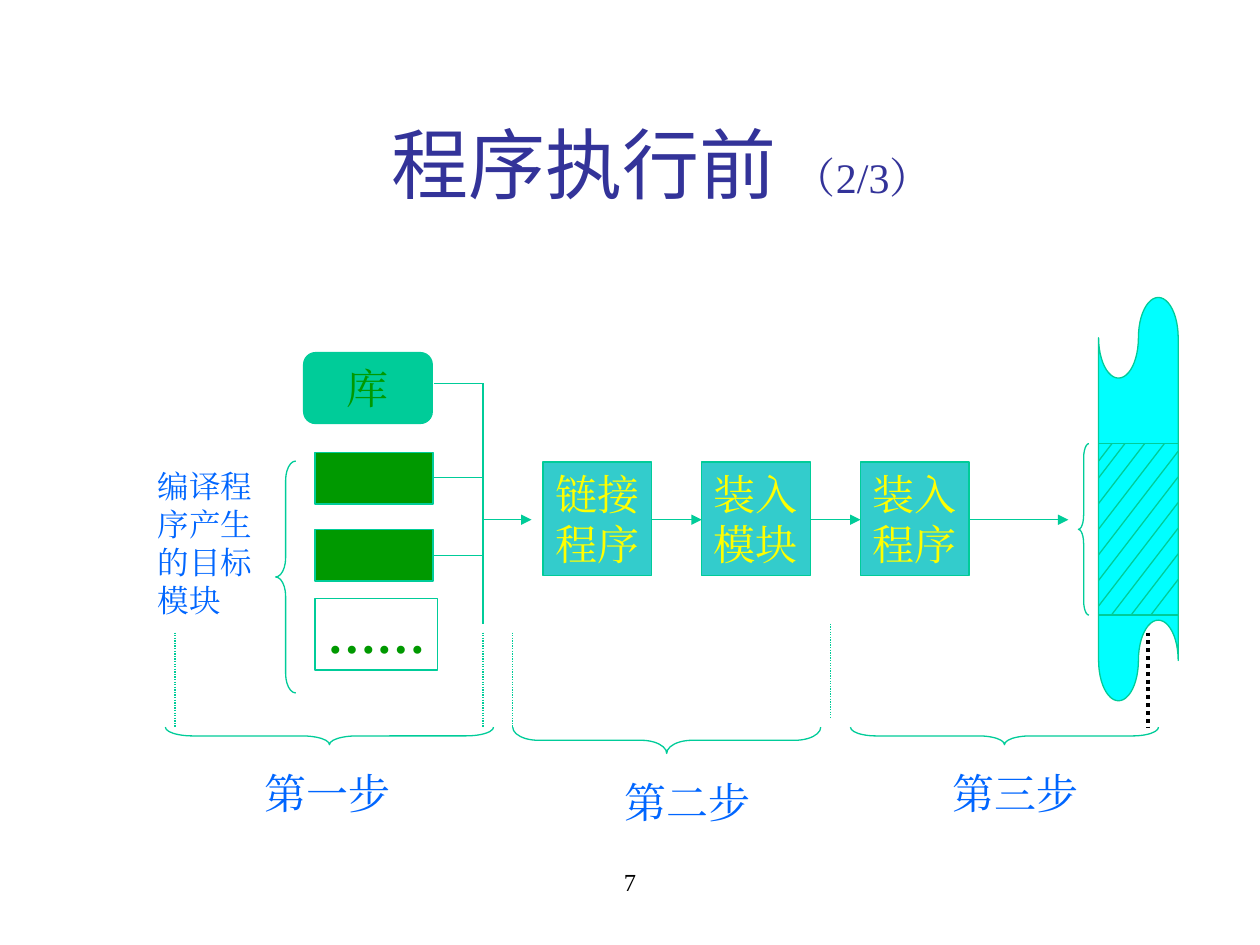
from lxml import etree
from pptx import Presentation
from pptx.dml.color import RGBColor
from pptx.enum.dml import MSO_LINE
from pptx.enum.shapes import MSO_CONNECTOR, MSO_SHAPE
from pptx.enum.text import MSO_ANCHOR, MSO_AUTO_SIZE, PP_ALIGN
from pptx.oxml.ns import qn
from pptx.util import Pt

STRAIGHT = MSO_CONNECTOR.STRAIGHT
RECT, ROUNDED = MSO_SHAPE.RECTANGLE, MSO_SHAPE.ROUNDED_RECTANGLE
BRACE, TAPE = MSO_SHAPE.LEFT_BRACE, MSO_SHAPE.FLOWCHART_PUNCHED_TAPE
TOP, MIDDLE = MSO_ANCHOR.TOP, MSO_ANCHOR.MIDDLE
LEFT, CENTER = PP_ALIGN.LEFT, PP_ALIGN.CENTER
DOTTED = MSO_LINE.ROUND_DOT
SERIF, SANS = "Times New Roman", "Noto Sans CJK SC"
COLORS = {
    "title": "333399", "line": "00CC99", "module": "009900", "label": "0066FF",
    "stage": "33CCCC", "stage_text": "FFFF00", "memory": "00FFFF", "black": "000000",
}


def color(name):
    """Return the named colour."""
    return RGBColor.from_string(COLORS[name])


def set_font(font, face, size, ink, bold=False):
    """Format a paragraph or run font, for Latin and Chinese alike."""
    font.name, font.size, font.bold = face, Pt(size), bold
    font.color.rgb = color(ink)
    etree.SubElement(font._rPr, qn("a:ea"), typeface=face)


def write(shape, lines, size, ink, align=LEFT, anchor=TOP, wrap=False, bold=False):
    """Fill a shape with one paragraph per line."""
    frame = shape.text_frame
    frame.word_wrap, frame.vertical_anchor = wrap, anchor
    frame.text = "\n".join(lines)
    for para in frame.paragraphs:
        para.alignment = align
        set_font(para.font, SERIF, size, ink, bold)


def add_label(page, box, text, size, ink, **options):
    """Add a text box."""
    write(page.shapes.add_textbox(*map(Pt, box)), [text], size, ink, **options)


def add_block(page, kind, box, fill=None):
    """Add an outlined preset shape, filled if a colour is named."""
    shape = page.shapes.add_shape(kind, *map(Pt, box))
    shape.shadow.inherit = False
    shape.line.color.rgb, shape.line.width = color("line"), Pt(0.75)
    if fill:
        shape.fill.solid()
        shape.fill.fore_color.rgb = color(fill)
    else:
        shape.fill.background()
    return shape


def add_line(page, start, end, ink="line", width=0.75, dash=None, arrow=False):
    """Add a straight line, dotted or with an arrowhead on request."""
    line = page.shapes.add_connector(STRAIGHT, *map(Pt, (*start, *end)))
    line.line.color.rgb, line.line.width = color(ink), Pt(width)
    if dash:
        line.line.dash_style = dash
    if arrow:
        etree.SubElement(line.line._get_or_add_ln(), qn("a:tailEnd"), type="triangle")
    etree.SubElement(line._element.spPr, qn("a:effectLst"))


def add_brace(page, box, downward=False):
    """Add a brace in the box, its tip to the left or downward."""
    left, top, width, height = box
    span, depth = (width, height) if downward else (height, width)
    middle_x, middle_y = left + width / 2, top + height / 2
    brace = add_block(page, BRACE, (middle_x - depth / 2, middle_y - span / 2, depth, span))
    brace.adjustments[0] = span / 12 / depth
    brace.rotation = 270 if downward else 0


def add_title(page, box):
    """Place the two-size title."""
    title = page.shapes.title
    title.left, title.top, title.width, title.height = map(Pt, box)
    frame = title.text_frame
    frame.auto_size, frame.vertical_anchor = MSO_AUTO_SIZE.NONE, MIDDLE
    para = frame.paragraphs[0]
    para.alignment = CENTER
    for text, face, size in (("程序执行前 ", SANS, 44), ("（2/3）", SERIF, 24)):
        span = para.add_run()
        span.text = text
        set_font(span.font, face, size, "title")


def add_sources(page, box):
    """Draw the library and object modules, joined to one trunk line."""
    left, top, width, height = box
    module_left, trunk = left + 97, left + width
    library = add_block(page, ROUNDED, (left + 90.5, top, 73.5, 40.5), "line")
    write(library, ["库"], 24, "module", align=CENTER, anchor=MIDDLE, wrap=True)
    for offset in (57, 101):
        add_block(page, RECT, (module_left, top + offset, 67.5, 29.5), "module")
    more = add_block(page, RECT, (module_left, top + 140.5, 70, 41))
    write(more, ["……"], 28, "module", bold=True)
    add_brace(page, (left + 74.5, top + 62, 11.5, 132.5))
    for offset in (17.5, 71.5, 116):
        add_line(page, (left + 165, top + offset), (trunk, top + offset))
    add_line(page, (trunk, top + 17.5), (trunk, top + height))
    add_label(page, (left, top + 62, 75, 93.5), "编译程序产生的目标模块", 18, "label", wrap=True)


def add_stages(page, box):
    """Draw the chain of stages, with arrows in, between and out."""
    left, top, width, height = box
    stage_width, pitch, middle = 62, 90.75, top + 33
    add_line(page, (left - 34.5, middle), (left - 6.5, middle), arrow=True)
    names = (("链接", "程序"), ("装入", "模块"), ("装入", "程序"))
    for index, lines in enumerate(names):
        start = left + index * pitch
        stage = add_block(page, RECT, (start, top, stage_width, height), "stage")
        write(stage, lines, 24, "stage_text", align=CENTER, anchor=MIDDLE)
        end = left + width if lines is names[-1] else start + pitch
        add_line(page, (start + stage_width, middle), (end, middle), arrow=True)


def add_memory(page, box):
    """Draw the memory tape with its hatched, braced region."""
    left, top, width, height = box
    right, upper, depth, slope = left + width, top + 83.5, 98, 1.3
    lower, rise = upper + depth, slope * width
    add_block(page, TAPE, box, "memory")
    for level in (upper, lower):
        add_line(page, (left, level), (right, level))
    for drop in (10, *(19.6 + 14.65 * step for step in range(9))):
        start = (right, upper + drop - rise) if drop > rise else (left + drop / slope, upper)
        end = (left, upper + drop) if drop < depth else (left + (drop - depth) / slope, lower)
        add_line(page, start, end)
    add_brace(page, (left - 11.5, upper, 6, depth))


def add_step(page, box, text, text_left, text_top):
    """Draw a downward brace with its step label."""
    add_brace(page, box, downward=True)
    add_label(page, (text_left, text_top, 86.5, 36), text, 24, "label")


def add_steps(page, box):
    """Draw the three steps and the dotted guides above them."""
    left, top, width, height = box
    base = top + height
    add_step(page, (left, base, 187.5, 10), "第一步", left + 49.5, base + 19.5)
    add_step(page, (left + 198.5, base, 176, 15), "第二步", left + 255.5, base + 24.5)
    add_step(page, (left + width - 176, base, 176, 10), "第三步", left + 442.5, base + 19.5)
    for offset, lift in ((5.5, 0), (181.5, 0), (198.5, 0), (380, 5)):
        start = (left + offset, top - lift)
        add_line(page, start, (start[0], base - lift), dash=DOTTED)
    edge = left + width - 6
    add_line(page, (edge, top), (edge, base), "black", 2.25, DOTTED)


def main():
    """Build and save the slide."""
    deck = Presentation()
    deck.slide_width, deck.slide_height = Pt(720), Pt(540)
    page = deck.slides.add_slide(deck.slide_layouts[5])
    add_title(page, (72, 48, 612, 90))
    add_sources(page, (83, 201.5, 193, 155))
    add_stages(page, (310.25, 264, 300.25, 65))
    add_memory(page, (627.75, 170, 45.5, 230.5))
    add_steps(page, (94.5, 361.5, 567.5, 54))
    add_label(page, (246, 492, 228, 36), "7", 14, "black", align=CENTER, wrap=True)
    deck.save("out.pptx")


if __name__ == "__main__":
    main()
